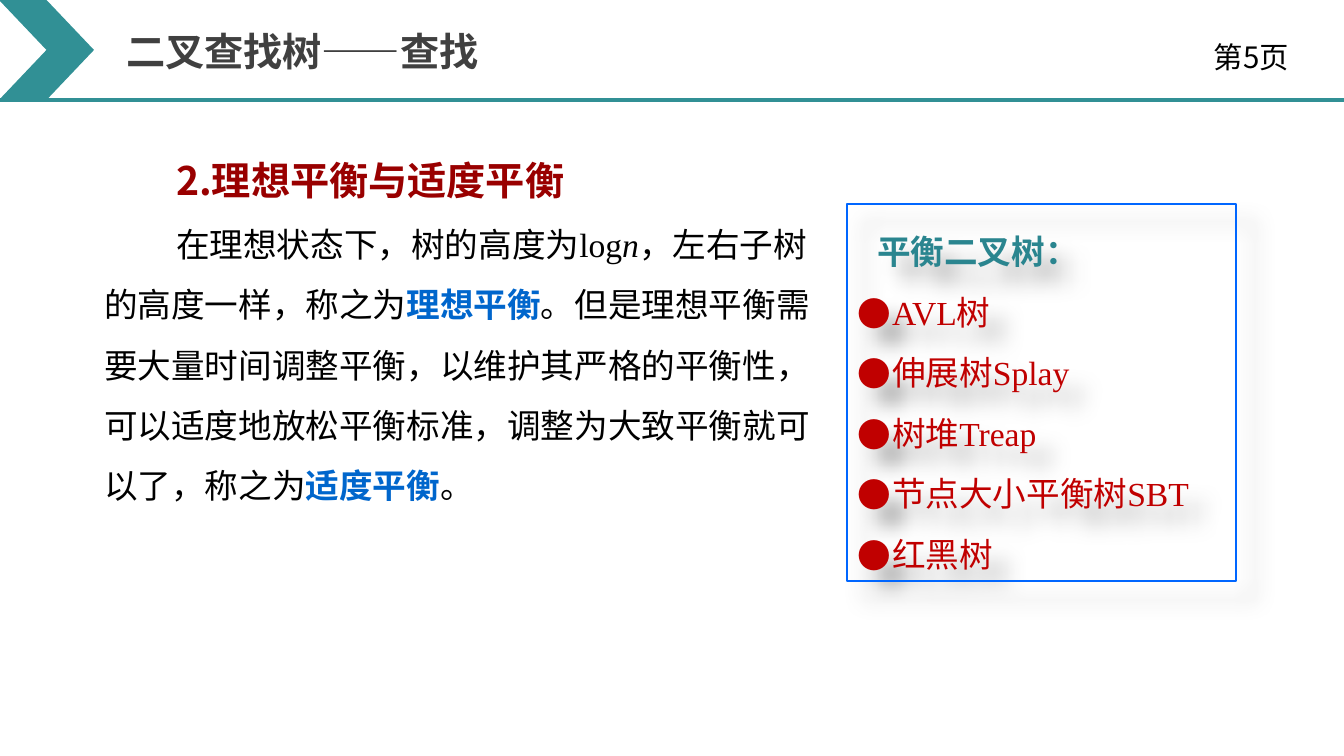
import pptx
import pptx.util
import pptx.dml.color
import pptx.enum.shapes
import pptx.enum.text
import pptx.oxml
import pptx.oxml.ns
import lxml.etree

TITLE = "二叉查找树——查找"
PAGE_NUMBER = "第5页"
HEADING = "2.理想平衡与适度平衡"
# Each piece of the explanation: text, style
EXPLANATION = [
    ("在理想状态下，树的高度为log", "plain"),
    ("n", "variable"),
    ("，左右子树的高度一样，称之为", "plain"),
    ("理想平衡", "term"),
    ("。但是理想平衡需要大量时间调整平衡，以维护其严格的平衡性，"
     "可以适度地放松平衡标准，调整为大致平衡就可以了，称之为", "plain"),
    ("适度平衡", "term"),
    ("。", "plain"),
]
TREES_HEADING = "平衡二叉树："
TREES = ["AVL树", "伸展树Splay", "树堆Treap", "节点大小平衡树SBT", "红黑树"]

COLORS = {
    "teal": "319095", "dark teal": "2A858F", "gray": "404040", "black": "000000",
    "dark red": "990000", "red": "C00000", "blue": "0066CC", "border": "0066FF",
}
SANS, SERIF = "Noto Sans CJK SC", "Times New Roman"
EMU_PER_PX = 914400 / 100.8
WIDTH, HEIGHT = 1344, 756
HEADER_HEIGHT = 100
BODY_LINE, HEADING_LINE = 43.2, 53


def px(length):
    return pptx.util.Emu(round(length * EMU_PER_PX))


def rgb(name):
    return pptx.dml.color.RGBColor.from_string(COLORS[name])


def place(shape, left, top, width, height):
    shape.left, shape.top = px(left), px(top)
    shape.width, shape.height = px(width), px(height)


def prepare_frame(shape, anchor):
    frame = shape.text_frame
    frame.word_wrap = True
    frame.auto_size = pptx.enum.text.MSO_AUTO_SIZE.NONE
    frame.vertical_anchor = anchor
    return frame


def format_run(run, size, color, latin=SERIF, bold=False, italic=False):
    font = run.font
    font.size = pptx.util.Pt(size)
    font.bold, font.italic = bold, italic
    font.color.rgb = rgb(color)
    font.name = latin
    east_asian = lxml.etree.Element(pptx.oxml.ns.qn("a:ea"), typeface=SANS)
    font._element.find(pptx.oxml.ns.qn("a:latin")).addnext(east_asian)


def format_paragraph(paragraph, line, left=0, first=0, bullet=None):
    """Set indents in px, an optional bullet, and the line height in points."""
    properties = paragraph._p.get_or_add_pPr()
    properties.set("marL", str(px(left)))
    properties.set("indent", str(px(first)))
    if bullet:
        lxml.etree.SubElement(properties, pptx.oxml.ns.qn("a:buFont"), typeface=SANS)
        lxml.etree.SubElement(properties, pptx.oxml.ns.qn("a:buChar"), char=bullet)
    else:
        lxml.etree.SubElement(properties, pptx.oxml.ns.qn("a:buNone"))
    paragraph.alignment = pptx.enum.text.PP_ALIGN.LEFT
    paragraph.space_before = pptx.util.Pt(0)
    paragraph.line_spacing = pptx.util.Pt(line) if line else 1.0


def add_shadow(shape):
    shape._element.spPr.append(pptx.oxml.parse_xml(
        f'<a:effectLst {pptx.oxml.ns.nsdecls("a")}>'
        f'<a:outerShdw blurRad="{pptx.util.Pt(15)}" dist="{pptx.util.Pt(18)}" '
        'dir="2700000" algn="tl" rotWithShape="0"><a:srgbClr val="000000">'
        '<a:alpha val="30000"/></a:srgbClr></a:outerShdw></a:effectLst>'))


def add_header(slide):
    rule = slide.shapes.add_connector(
        pptx.enum.shapes.MSO_CONNECTOR.STRAIGHT,
        px(0), px(HEADER_HEIGHT), px(WIDTH), px(HEADER_HEIGHT))
    rule.line.color.rgb = rgb("teal")
    rule.line.width = pptx.util.Pt(2.25)
    lxml.etree.SubElement(rule._element.spPr, pptx.oxml.ns.qn("a:effectLst"))

    chevron = slide.shapes.add_shape(
        pptx.enum.shapes.MSO_SHAPE.CHEVRON, px(-1), px(0), px(95), px(HEADER_HEIGHT))
    chevron.shadow.inherit = False
    chevron.fill.solid()
    chevron.fill.fore_color.rgb = rgb("teal")
    chevron.line.fill.background()

    title = slide.shapes.title
    place(title, 116, 22, 436, 58)
    number = slide.shapes.add_textbox(px(1204), px(34), px(120), px(40))
    middle, top = pptx.enum.text.MSO_ANCHOR.MIDDLE, pptx.enum.text.MSO_ANCHOR.TOP
    for shape, text, anchor, size, color, bold in (
            (title, TITLE, middle, 28, "gray", True),
            (number, PAGE_NUMBER, top, 21, "black", False)):
        paragraph = prepare_frame(shape, anchor).paragraphs[0]
        paragraph.text = text
        format_paragraph(paragraph, None)
        format_run(paragraph.runs[0], size, color, SANS, bold)


def fill_explanation(shape):
    place(shape, 94, 124, 730, 387)
    frame = prepare_frame(shape, pptx.enum.text.MSO_ANCHOR.TOP)
    heading = frame.paragraphs[0]
    heading.text = HEADING
    format_paragraph(heading, HEADING_LINE, first=72)
    format_run(heading.runs[0], 28, "dark red", SANS, bold=True)

    paragraph = frame.add_paragraph()
    format_paragraph(paragraph, BODY_LINE, first=72)
    for text, style in EXPLANATION:
        run = paragraph.add_run()
        run.text = text
        is_term = style == "term"
        format_run(run, 24, "blue" if is_term else "black",
                   bold=is_term, italic=style == "variable")


def fill_trees(shape):
    place(shape, 847, 204, 389, 377)
    shape.fill.background()
    shape.line.color.rgb = rgb("border")
    shape.line.width = pptx.util.Pt(1.5)
    add_shadow(shape)
    frame = prepare_frame(shape, pptx.enum.text.MSO_ANCHOR.MIDDLE)
    frame.text = "\n".join([TREES_HEADING] + TREES)
    heading, *items = frame.paragraphs
    format_paragraph(heading, BODY_LINE, left=20)
    format_run(heading.runs[0], 24, "dark teal", bold=True)
    for item in items:
        format_paragraph(item, BODY_LINE, left=35, first=-35, bullet="●")
        format_run(item.runs[0], 24, "red")


def main():
    presentation = pptx.Presentation()
    presentation.slide_width, presentation.slide_height = px(WIDTH), px(HEIGHT)
    two_content = presentation.slide_layouts[3]
    slide = presentation.slides.add_slide(two_content)
    add_header(slide)
    fill_explanation(slide.placeholders[1])
    fill_trees(slide.placeholders[2])
    presentation.save("out.pptx")


if __name__ == "__main__":
    main()
